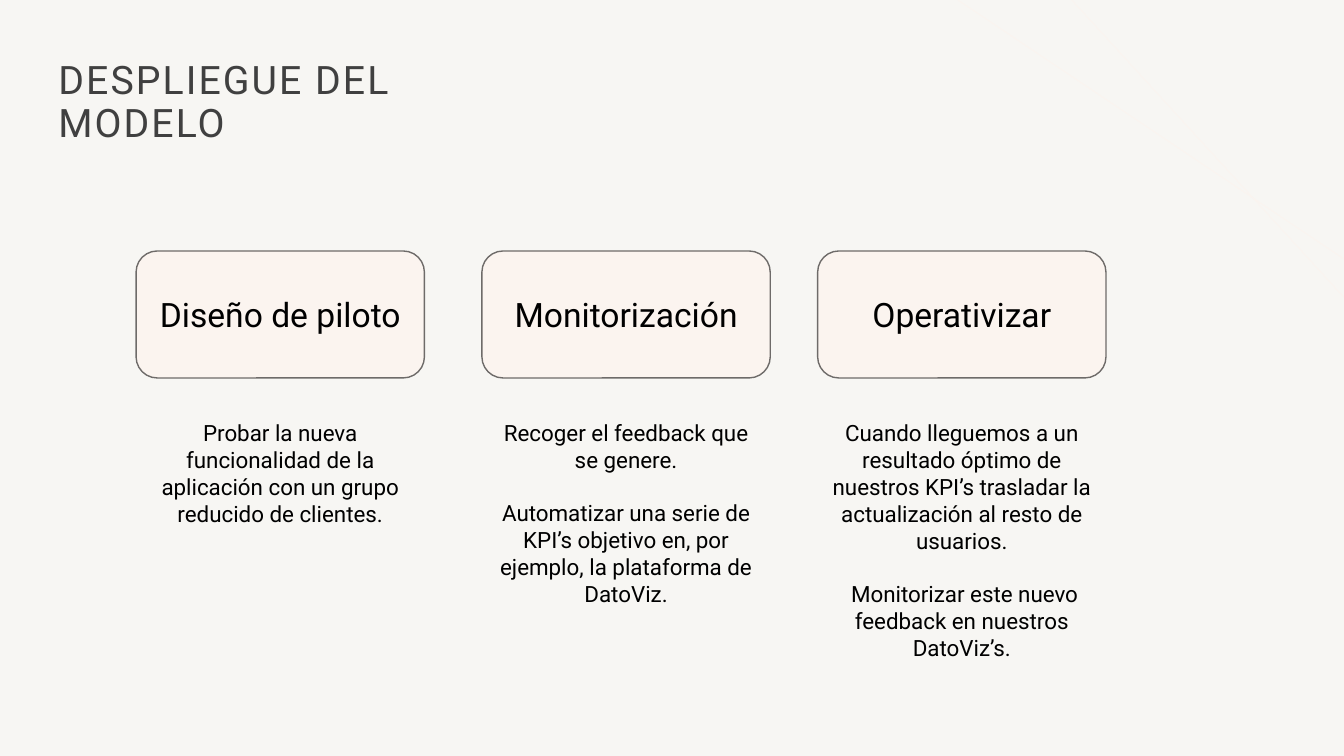
from dataclasses import dataclass

from lxml import etree
from pptx import Presentation
from pptx import util as u
from pptx.dml.color import RGBColor
from pptx.enum import shapes, text
from pptx.oxml.ns import qn

FONT = "Roboto"
BACKGROUND, CARD, OUTLINE = "F7F6F3", "FBF4EF", "6E6B69"
BLACK, TITLE_GREY = "000000", "404040"
STAGE_WIDTH, CARD_TOP, CARD_HEIGHT = 2.86, 2.49, 1.26
DETAIL_TOP, DETAIL_HEIGHT = 4.11, 2.55


@dataclass
class Stage:
    left: float
    heading: str
    details: list[str]


@dataclass
class Ray:
    start_x: float
    end_y: float


STAGES = [
    Stage(1.35, "Diseño de piloto", [
        "Probar la nueva funcionalidad de la aplicación con un grupo reducido de clientes.",
    ]),
    Stage(4.78, "Monitorización", [
        "Recoger el feedback que se genere.",
        "Automatizar una serie de KPI’s objetivo en, por ejemplo, la plataforma de DatoViz.",
    ]),
    Stage(8.11, "Operativizar", [
        "Cuando lleguemos a un resultado óptimo de nuestros KPI’s trasladar la "
        "actualización al resto de usuarios.",
        " Monitorizar este nuevo feedback en nuestros DatoViz’s.",
    ]),
]
RAYS = [Ray(9.5, 2.57), Ray(10.63, 2.95)]


def paint(color_format, hex_color: str) -> None:
    color_format.rgb = RGBColor.from_string(hex_color)


def fill(target, hex_color: str) -> None:
    target.fill.solid()
    paint(target.fill.fore_color, hex_color)


def stroke(line, hex_color: str, width: float) -> None:
    paint(line.color, hex_color)
    line.width = u.Pt(width)


def apply(target, formats: dict) -> None:
    for attribute, value in formats.items():
        setattr(target, attribute, value)


def write(frame, lines: list[str], size: float, hex_color: str,
          frame_format: dict, paragraph_format: dict, gap: float = 0) -> None:
    apply(frame, {"word_wrap": True, "auto_size": text.MSO_AUTO_SIZE.NONE, **frame_format})
    for index, line in enumerate(lines):
        paragraph = frame.add_paragraph() if index else frame.paragraphs[0]
        apply(paragraph, {**paragraph_format, "space_before": u.Pt(gap if index else 0)})
        run = paragraph.add_run()
        run.text = line
        apply(run.font, {"name": FONT, "size": u.Pt(size)})
        paint(run.font.color, hex_color)


def draw_ray(slide, ray: Ray) -> None:
    connector = slide.shapes.add_connector(
        shapes.MSO_CONNECTOR.STRAIGHT,
        u.Inches(ray.start_x), u.Inches(0), u.Inches(13.33), u.Inches(ray.end_y))
    stroke(connector.line, CARD, 0.5)
    etree.SubElement(connector._element.spPr, qn("a:effectLst"))


def draw_title(slide) -> None:
    title = slide.shapes.title
    apply(title, {"left": u.Inches(0.48), "top": u.Inches(0.3),
                  "width": u.Inches(4.35), "height": u.Inches(1.45)})
    write(title.text_frame, ["DESPLIEGUE DEL MODELO"], 28, TITLE_GREY,
          {"vertical_anchor": text.MSO_ANCHOR.MIDDLE},
          {"alignment": text.PP_ALIGN.LEFT, "line_spacing": 0.9})
    # Letter spacing in hundredths of a point
    title.text_frame.paragraphs[0].runs[0].font._element.set("spc", "150")


def draw_stage(slide, stage: Stage) -> None:
    left, width = u.Inches(stage.left), u.Inches(STAGE_WIDTH)
    centred = {"alignment": text.PP_ALIGN.CENTER}

    card = slide.shapes.add_shape(
        shapes.MSO_SHAPE.FLOWCHART_ALTERNATE_PROCESS,
        left, u.Inches(CARD_TOP), width, u.Inches(CARD_HEIGHT))
    card.shadow.inherit = False
    fill(card, CARD)
    stroke(card.line, OUTLINE, 1)
    write(card.text_frame, [stage.heading], 24, BLACK,
          {"vertical_anchor": text.MSO_ANCHOR.MIDDLE}, centred)

    details = slide.shapes.add_textbox(
        left, u.Inches(DETAIL_TOP), width, u.Inches(DETAIL_HEIGHT))
    write(details.text_frame, stage.details, 16, BLACK,
          {"vertical_anchor": text.MSO_ANCHOR.TOP}, centred, gap=19)


def main() -> None:
    deck = Presentation()
    apply(deck, {"slide_width": u.Inches(13.33), "slide_height": u.Inches(7.5)})
    slide = deck.slides.add_slide(deck.slide_layouts.get_by_name("Title Only"))
    fill(slide.background, BACKGROUND)

    # Faint corner lines
    for ray in RAYS:
        draw_ray(slide, ray)

    # Title and the three stages
    draw_title(slide)
    for stage in STAGES:
        draw_stage(slide, stage)

    deck.save("out.pptx")


if __name__ == "__main__":
    main()
